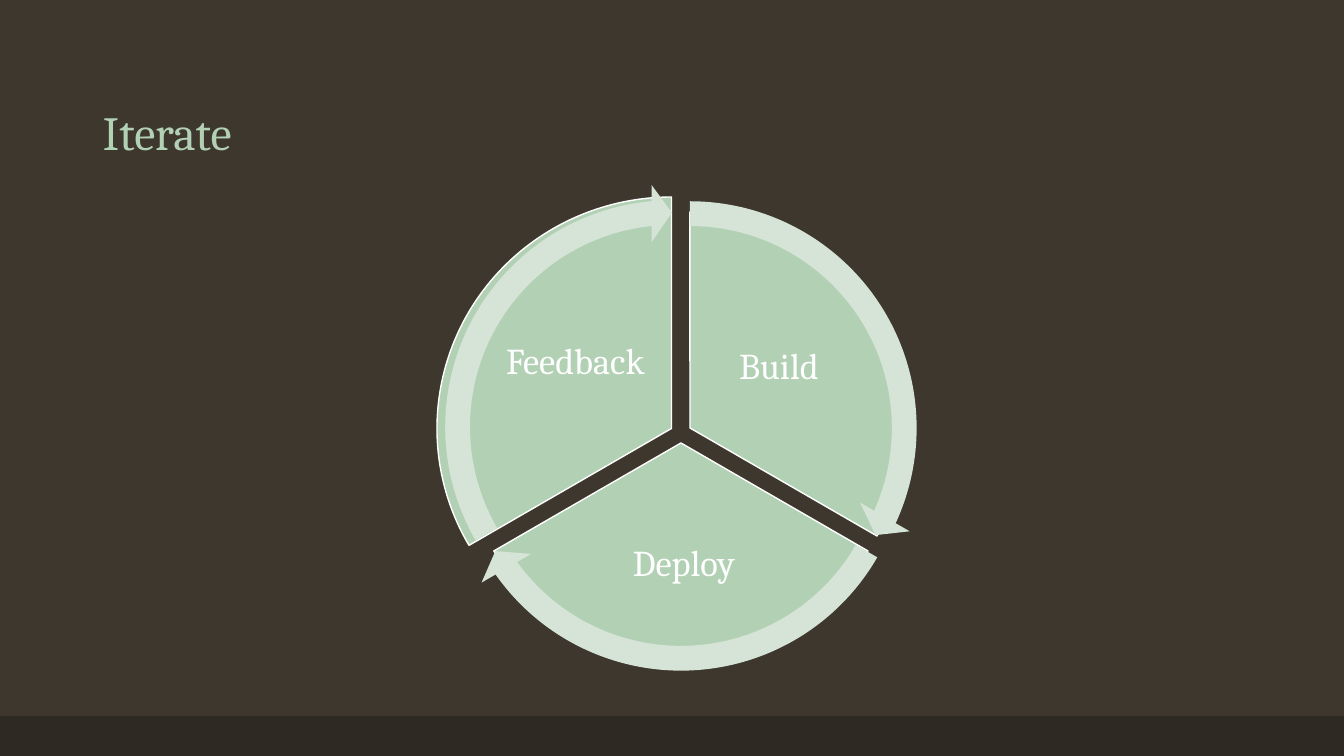
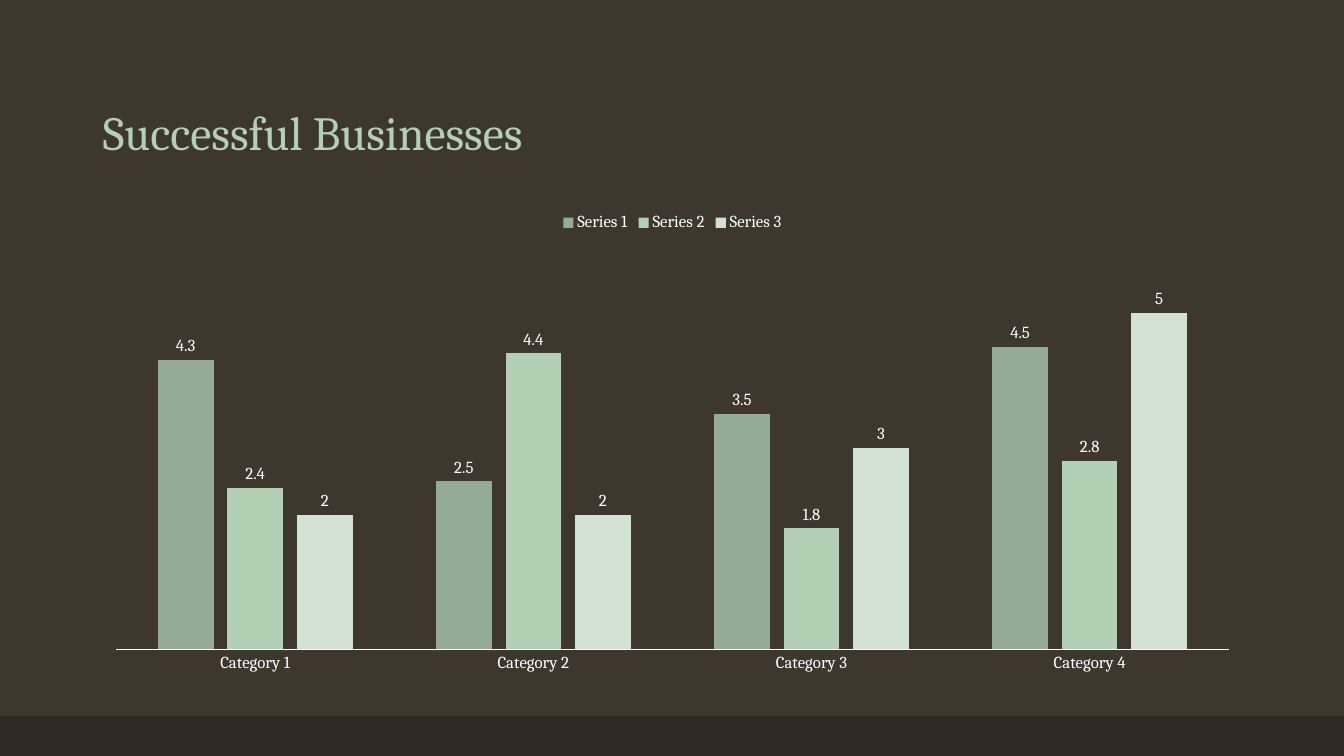
"""Build a two-slide deck: an iteration cycle and a clustered column chart."""
from dataclasses import dataclass

from pptx import Presentation
from pptx.chart.data import CategoryChartData
from pptx.dml.color import RGBColor as RGB
from pptx.enum.chart import XL_CHART_TYPE as CHART, XL_LABEL_POSITION as LABEL
from pptx.enum.chart import XL_LEGEND_POSITION as LEGEND, XL_TICK_MARK as TICK
from pptx.enum.shapes import MSO_SHAPE as SHAPE
from pptx.enum.text import MSO_ANCHOR as ANCHOR, PP_ALIGN as ALIGN
from pptx.util import Emu, Pt

WIDTH, HEIGHT = 1344, 756
SCALE = 12192000 / WIDTH
DEGREE = 0.6


@dataclass(frozen=True)
class Theme:
    """Colours, font and type sizes of the deck."""
    background: str = "3D372E"
    band: str = "2E2923"
    accent: str = "B2D0B4"
    arrow: str = "D5E4D6"
    white: str = "FFFFFF"
    series: tuple = ("94AC95", "B2D0B4", "D1E2D2")
    font: str = "Cambria"
    title_size: int = 34
    cycle_size: int = 26
    chart_size: int = 12


THEME = Theme()

STEPS = [
    ("Build", 270, (474, 212, 432, 432), (702, 303, 154, 129), (447, 185)),
    ("Deploy", 30, (465, 227, 432, 432), (568, 508, 232, 113), (438, 201)),
    ("Feedback", 150, (437, 197, 469, 463), (492, 294, 167, 137), (429, 184)),
]
ARROW_SIZE = 486
ARROW_HEAD = 3.275

CATEGORIES = [f"Category {n}" for n in range(1, 5)]
SERIES = {
    "Series 1": (4.3, 2.5, 3.5, 4.5),
    "Series 2": (2.4, 4.4, 1.8, 2.8),
    "Series 3": (2, 2, 3, 5),
}


def px(n):
    """Turn pixels into EMU."""
    return Emu(round(n * SCALE))


def box(*lengths):
    """Turn a left, top, width, height in pixels into EMU."""
    return [px(n) for n in lengths]


def paint(fill, color):
    """Give a fill one solid colour."""
    fill.solid()
    fill.fore_color.rgb = RGB.from_string(color)


def style_font(font, size, color):
    """Set the deck font with a size and colour."""
    font.name = THEME.font
    font.size = Pt(size)
    font.color.rgb = RGB.from_string(color)


def add_text(slide, text, at, *, size, color, align=ALIGN.LEFT,
             anchor=ANCHOR.MIDDLE, inset=(4, 4)):
    """Add a wrapped one-paragraph text box."""
    tf = slide.shapes.add_textbox(*box(*at)).text_frame
    tf.word_wrap = True
    tf.vertical_anchor = anchor
    tf.margin_left = tf.margin_right = px(inset[0])
    tf.margin_top = tf.margin_bottom = px(inset[1])
    p = tf.paragraphs[0]
    p.alignment = align
    p.line_spacing = 0.9
    r = p.add_run()
    r.text = text
    style_font(r.font, size, color)


def add_shape(slide, kind, at, fill, line=None, adjustments=()):
    """Add a flat preset shape with an optional outline."""
    sp = slide.shapes.add_shape(kind, *box(*at))
    sp.shadow.inherit = False
    paint(sp.fill, fill)
    if line:
        paint(sp.line.fill, line)
        sp.line.width = Pt(1)
    else:
        sp.line.fill.background()
    for i, value in enumerate(adjustments):
        sp.adjustments[i] = value


def add_slide(prs, title):
    """Add a slide with the shared background, band and title."""
    slide = prs.slides.add_slide(prs.slide_layouts[6])
    paint(slide.background.fill, THEME.background)
    add_shape(slide, SHAPE.RECTANGLE, (0, 716, WIDTH, HEIGHT - 716), THEME.band)
    add_text(slide, title, (93, 40, 1159, 126), size=THEME.title_size,
             color=THEME.accent, anchor=ANCHOR.BOTTOM, inset=(10, 5))
    return slide


def add_cycle(slide):
    """Draw the labelled thirds of the circle, then the arrows over them."""
    for label, start, pie, text, _ in STEPS:
        angles = (start * DEGREE, (start + 120) % 360 * DEGREE)
        add_shape(slide, SHAPE.PIE, pie, THEME.accent, THEME.white, angles)
        add_text(slide, label, text, size=THEME.cycle_size,
                 color=THEME.white, align=ALIGN.CENTER)
    for _, start, _, _, corner in STEPS:
        tip = (start + 120) % 360 * DEGREE - ARROW_HEAD
        add_shape(slide, SHAPE.CIRCULAR_ARROW, (*corner, ARROW_SIZE, ARROW_SIZE),
                  THEME.arrow,
                  adjustments=(0.051, ARROW_HEAD, tip, start * DEGREE, 0.059))


def add_columns(slide, at):
    """Add the clustered column chart."""
    data = CategoryChartData()
    data.categories = CATEGORIES
    for name, values in SERIES.items():
        data.add_series(name, values)
    chart = slide.shapes.add_chart(CHART.COLUMN_CLUSTERED, *box(*at), data).chart
    style_font(chart.font, THEME.chart_size, THEME.white)
    chart.has_title = False
    chart.has_legend = True
    chart.legend.position = LEGEND.TOP
    chart.legend.include_in_layout = False
    style_font(chart.legend.font, THEME.chart_size, THEME.white)

    axis = chart.category_axis
    axis.major_tick_mark = axis.minor_tick_mark = TICK.NONE
    paint(axis.format.line.fill, THEME.white)
    axis.format.line.width = Pt(0.75)
    style_font(axis.tick_labels.font, THEME.chart_size, THEME.white)
    chart.value_axis.has_major_gridlines = False
    chart.value_axis.minimum_scale = 0
    chart.value_axis.visible = False

    plot = chart.plots[0]
    plot.gap_width = 150
    plot.overlap = -25
    plot.vary_by_categories = False
    for series, color in zip(plot.series, THEME.series):
        paint(series.format.fill, color)
        series.invert_if_negative = False
        labels = series.data_labels
        labels.show_value = True
        labels.position = LABEL.OUTSIDE_END
        style_font(labels.font, THEME.chart_size, THEME.white)


def main():
    """Build and save the deck."""
    prs = Presentation()
    prs.slide_width, prs.slide_height = px(WIDTH), px(HEIGHT)
    add_cycle(add_slide(prs, "Iterate"))
    add_columns(add_slide(prs, "Successful Businesses"), (93, 202, 1159, 480))
    prs.save("out.pptx")


if __name__ == "__main__":
    main()
